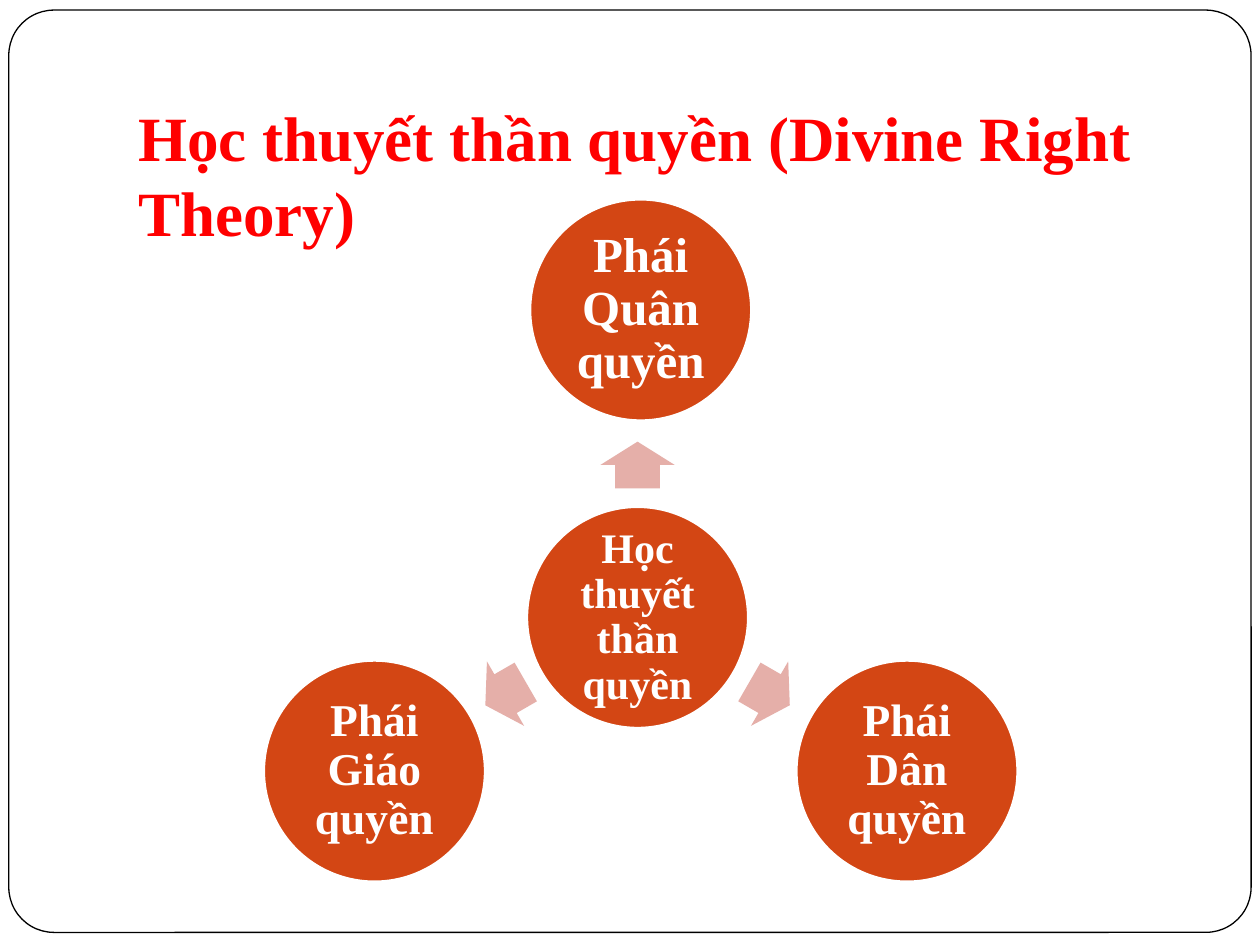
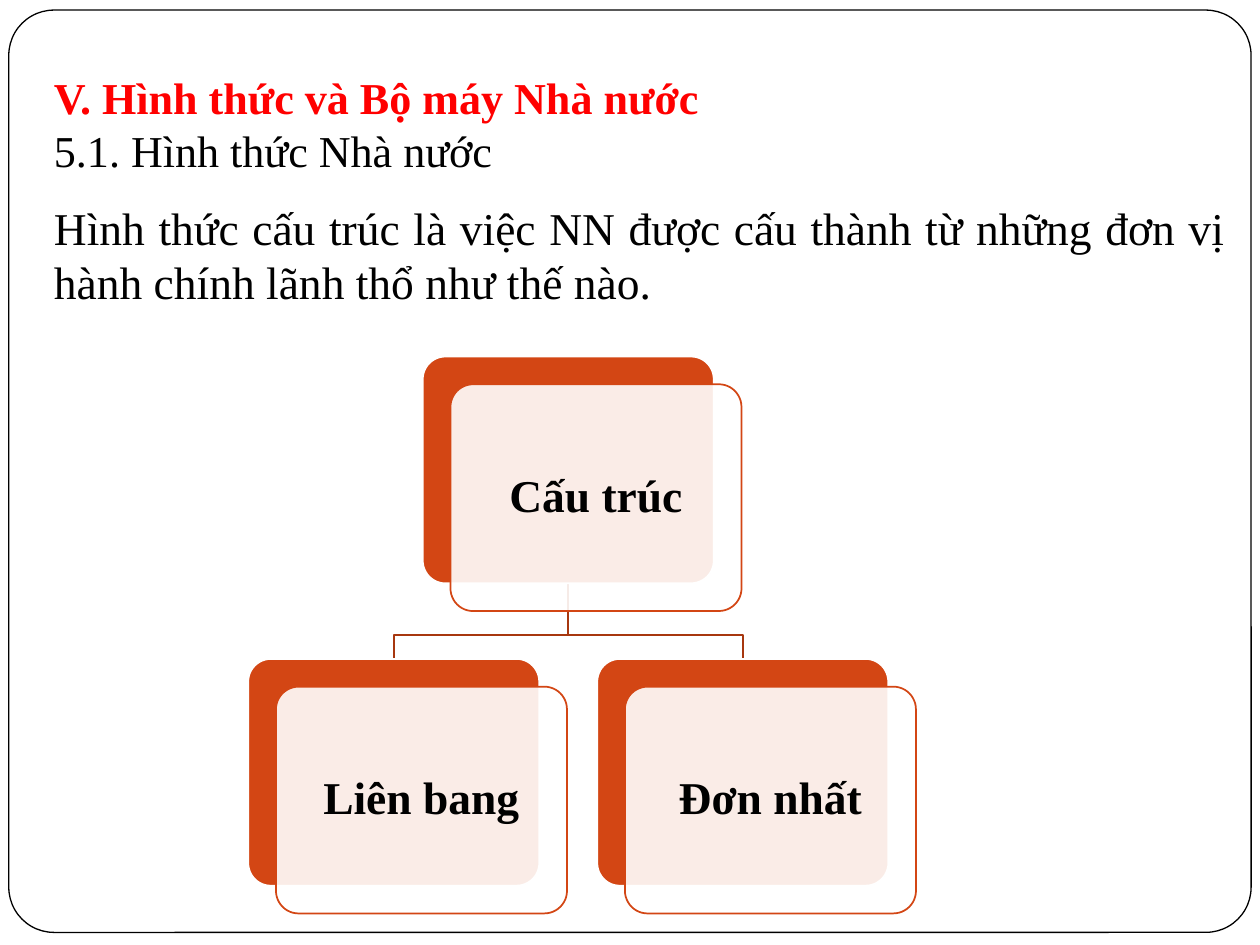
from dataclasses import dataclass
from math import cos, radians, sin

from lxml import etree
from pptx import Presentation
from pptx.dml.color import RGBColor
from pptx.enum.shapes import MSO_SHAPE as Preset
from pptx.enum.text import MSO_ANCHOR as Anchor, PP_ALIGN as Align
from pptx.oxml.ns import qn
from pptx.util import Inches, Pt

COLUMNS, ROWS = 100, 75


@dataclass(frozen=True)
class Theme:
    font: str = "Times New Roman"
    paper: str = "FFFFFF"
    ink: str = "000000"
    heading: str = "FF0000"
    accent: str = "D34614"
    arrow: str = "E5AFA9"
    branch: str = "A7370F"
    title_size: float = 36
    section_size: float = 25.2
    body_size: float = 26
    hub_size: float = 24
    top_size: float = 28
    panel_opacity: int = 90
    frame_width: float = 0.75
    line_width: float = 1


class Deck:
    """Draws on the current slide; lengths are cells of a 100 by 75 grid."""

    def __init__(self, theme):
        self.theme = theme
        self.show = Presentation()
        self.cell = Inches(10) / COLUMNS
        self.show.slide_width, self.show.slide_height = self.span(COLUMNS, ROWS)

    def span(self, *cells):
        return [round(count * self.cell) for count in cells]

    def new_slide(self):
        self.slide = self.show.slides.add_slide(self.show.slide_layouts[6])
        self.shape(Preset.ROUNDED_RECTANGLE, (0.7, 0.8, 98.6, 73.2), self.theme.paper,
                   self.theme.ink, self.theme.frame_width, 0.049)

    def shape(self, preset, box, fill, line=None, width=1, *adjustments):
        item = self.slide.shapes.add_shape(preset, *self.span(*box))
        item.shadow.inherit = False
        item.fill.solid()
        item.fill.fore_color.rgb = RGBColor.from_string(fill)
        for index, value in enumerate(adjustments):
            item.adjustments[index] = value
        self.outline(item, line, width)
        return item

    def outline(self, item, color, width):
        if color is None:
            item.line.fill.background()
        else:
            item.line.color.rgb = RGBColor.from_string(color)
            item.line.width = Pt(width)

    def set_text(self, item, text, styles, align, anchor, insets, spacing=None):
        """Fill item with text; styles holds (size, colour, bold) for each run."""
        frame = item.text_frame
        frame.text = text
        frame.word_wrap = True
        frame.vertical_anchor = anchor
        (frame.margin_left, frame.margin_top,
         frame.margin_right, frame.margin_bottom) = self.span(*insets)
        paragraph = frame.paragraphs[0]
        paragraph.alignment = align
        if spacing:
            paragraph.line_spacing = spacing
        for run, (size, color, bold) in zip(paragraph.runs, styles):
            run.font.name, run.font.size, run.font.bold = self.theme.font, Pt(size), bold
            run.font.color.rgb = RGBColor.from_string(color)

    def text(self, box, text, *styles, align=Align.LEFT):
        area = self.slide.shapes.add_textbox(*self.span(*box))
        self.set_text(area, text, styles, align, Anchor.BOTTOM, (1, 0.5, 1, 1))

    def label(self, item, text, size, color, inset):
        self.set_text(item, text, [(size, color, True)], Align.CENTER, Anchor.MIDDLE,
                      [inset] * 4, 0.9)

    def circle(self, center, text, size, diameter=17.5):
        x, y = center
        box = (x - diameter / 2, y - diameter / 2, diameter, diameter)
        disc = self.shape(Preset.OVAL, box, self.theme.accent, self.theme.paper,
                          self.theme.line_width)
        self.label(disc, text, size, self.theme.paper, 0.35)

    def arrow(self, center, angle, length=3.7, breadth=5.9):
        x, y = center
        box = (x - length / 2, y - breadth / 2, length, breadth)
        pointer = self.shape(Preset.RIGHT_ARROW, box, self.theme.arrow, None, 0, 0.6, 0.5)
        pointer.rotation = angle

    def card(self, left, top, width, height, text, offset=2.2):
        """A solid card with a translucent labelled panel shifted over it."""
        theme = self.theme
        self.shape(Preset.ROUNDED_RECTANGLE, (left, top, width, height),
                   theme.accent, theme.paper, theme.line_width, 0.1)
        panel = self.shape(Preset.ROUNDED_RECTANGLE,
                           (left + offset, top + offset, width, height),
                           theme.paper, theme.accent, theme.line_width, 0.1)
        color = panel.element.spPr.find(qn("a:solidFill"))[0]
        etree.SubElement(color, qn("a:alpha"), val=str(theme.panel_opacity * 1000))
        self.label(panel, text, theme.body_size, theme.ink, 1.1)

    def branch(self, start, bend, end):
        """A stepped line that turns sideways at row bend."""
        points = [self.span(*point) for point in ((start[0], bend), (end[0], bend), end)]
        builder = self.slide.shapes.build_freeform(*self.span(*start))
        builder.add_line_segments(points, close=False)
        line = builder.convert_to_shape()
        line.shadow.inherit = False
        line.fill.background()
        self.outline(line, self.theme.branch, self.theme.line_width)


def around(center, radius, angle):
    turn = radians(angle)
    return center[0] + radius * cos(turn), center[1] + radius * sin(turn)


def divine_right_slide(deck):
    theme = deck.theme
    deck.new_slide()
    deck.text((10, 8.3, 85, 12.5), "Học thuyết thần quyền (Divine Right Theory)",
              (theme.title_size, theme.heading, True))
    hub = (50.6, 49)
    deck.circle(hub, "Học thuyết thần quyền", theme.hub_size)
    schools = [("Phái Quân quyền", theme.top_size),
               ("Phái Dân quyền", theme.body_size),
               ("Phái Giáo quyền", theme.body_size)]
    for index, (school, size) in enumerate(schools):
        angle = (270 + index * 360 / len(schools)) % 360
        deck.arrow(around(hub, 12.1, angle), angle)
        deck.circle(around((50.85, 49), 24.4, angle), school, size)


def state_structure_slide(deck):
    theme = deck.theme
    deck.new_slide()
    deck.text((3.3, 5, 95, 10), "V. Hình thức và Bộ máy Nhà nước\v5.1. Hình thức Nhà nước",
              (theme.section_size, theme.heading, True),
              (theme.section_size, theme.ink, False))
    deck.text((3.3, 14.7, 95, 10.8),
              "Hình thức cấu trúc là việc NN được cấu thành từ những đơn vị "
              "hành chính lãnh thổ như thế nào.",
              (theme.body_size, theme.ink, False), align=Align.JUSTIFY)

    width, height = 23.1, 18
    middle, step = 45.1, 27.7
    root_top, child_top = 28.3, 52.3
    children = [("Liên bang", middle - step / 2), ("Đơn nhất", middle + step / 2)]
    for _, center in reversed(children):
        deck.branch((middle, root_top + height), 50.4, (center, child_top))
    deck.card(middle - width / 2, root_top, width, height, "Cấu trúc")
    for form, center in children:
        deck.card(center - width / 2, child_top, width, height, form)


def main():
    deck = Deck(Theme())
    divine_right_slide(deck)
    state_structure_slide(deck)
    deck.show.save("out.pptx")


if __name__ == "__main__":
    main()
